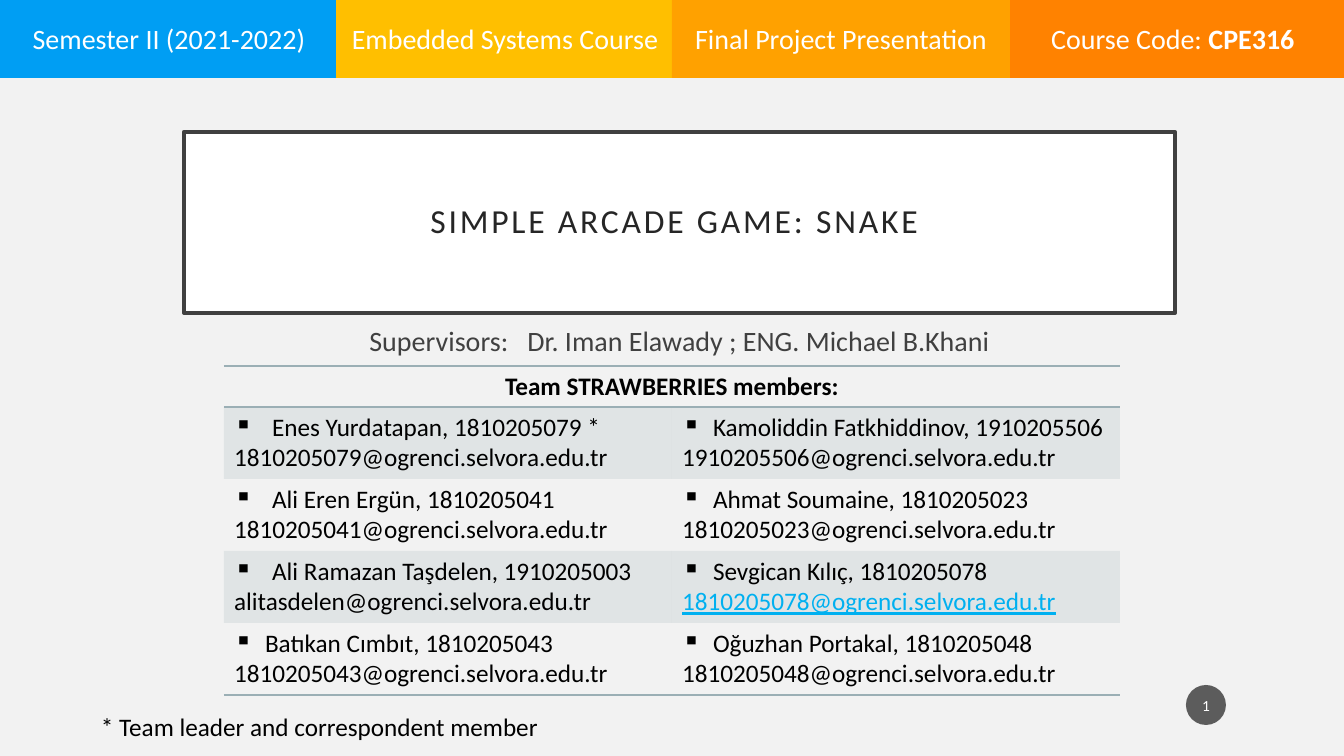
import pptx
import pptx.util
import pptx.dml.color
import pptx.enum.shapes
import pptx.enum.text
import pptx.oxml.ns
import lxml.etree

SCALE = 914400 / 100.8  # EMU in one px
WIDTH, HEIGHT = 1344, 756
COLORS = {
    "background": "F2F2F2", "white": "FFFFFF", "black": "000000",
    "frame": "404040", "title": "262626", "rule": "9BAFB5",
    "address": "00B0F0", "badge": "1D1D1D",
    "blue": "009EF3", "yellow": "FFBF00", "amber": "FFA100", "orange": "FF8200",
}
COLORS = {name: pptx.dml.color.RGBColor.from_string(value) for name, value in COLORS.items()}
ALIGN = pptx.enum.text.PP_ALIGN
MIDDLE = pptx.enum.text.MSO_ANCHOR.MIDDLE
AUTO_SIZE = pptx.enum.text.MSO_AUTO_SIZE
SHAPES = pptx.enum.shapes.MSO_SHAPE
qn = pptx.oxml.ns.qn


def px(*lengths):
    return [round(length * SCALE) for length in lengths]


def add_run(paragraph, text, size, color="black", spacing=0, **font_format):
    run = paragraph.add_run()
    run.text = text
    font_format.update(name="Calibri", size=pptx.util.Pt(size))
    for name, value in font_format.items():
        setattr(run.font, name, value)
    run.font.color.rgb = COLORS[color]
    if spacing:
        run.font._element.set("spc", str(spacing))


presentation = pptx.Presentation()
presentation.slide_width, presentation.slide_height = px(WIDTH, HEIGHT)
slide = presentation.slides.add_slide(presentation.slide_layouts[5])
slide.background.fill.solid()
slide.background.fill.fore_color.rgb = COLORS["background"]

# Framed title
title = slide.shapes.title
title.left, title.top, title.width, title.height = px(184, 132, 991, 181)
title.fill.solid()
title.fill.fore_color.rgb = COLORS["white"]
title.line.color.rgb = COLORS["frame"]
title.line.width = pptx.util.Pt(3)
side, edge = px(30, 20)
title_format = {
    "margin_left": side, "margin_right": side, "margin_top": edge, "margin_bottom": edge,
    "vertical_anchor": MIDDLE, "word_wrap": True, "auto_size": AUTO_SIZE.NONE,
}
for name, value in title_format.items():
    setattr(title.text_frame, name, value)
paragraph = title.text_frame.paragraphs[0]
paragraph.alignment = ALIGN.CENTER
paragraph.line_spacing = 0.9
add_run(paragraph, "SIMPLE ARCADE GAME: SNAKE ", 24, "title", spacing=200)

# Header bands and page number badge: shape, place, fill, side margin, text size, runs
BAND_STEP, BAND_WIDTH = 336, 338
bands = [
    (0, "blue", [("Semester II (2021-2022)", False)]),
    (3, "orange", [("Course Code: ", False), ("CPE316 ", True)]),
    (1, "yellow", [("Embedded Systems Course", False)]),
    (2, "amber", [("Final Project Presentation", False)]),
]
blocks = []
for position, color, runs in bands:
    left = position * BAND_STEP
    place = (left, -1, min(BAND_WIDTH, WIDTH - left), 79)
    blocks.append((SHAPES.RECTANGLE, place, color, 0, 20, runs))
blocks.append((SHAPES.OVAL, (1186, 685, 40, 40), "badge", 2, 11, [("1", False)]))

for kind, place, color, margin, size, runs in blocks:
    shape = slide.shapes.add_shape(kind, *px(*place))
    shape.shadow.inherit = False
    shape.fill.solid()
    shape.fill.fore_color.rgb = COLORS[color]
    shape.line.fill.background()
    side = px(margin)[0]
    block_format = {
        "margin_left": side, "margin_right": side, "margin_top": 0, "margin_bottom": 0,
        "vertical_anchor": MIDDLE, "word_wrap": True,
    }
    for name, value in block_format.items():
        setattr(shape.text_frame, name, value)
    paragraph = shape.text_frame.paragraphs[0]
    paragraph.alignment = ALIGN.CENTER
    for text, bold in runs:
        add_run(paragraph, text, size, "white", bold=bold)
    if color == "badge":
        solid_fill = shape.element.spPr.find(qn("a:solidFill"))
        lxml.etree.SubElement(solid_fill[0], qn("a:alpha"), val="70000")

# Team table
HEADER_HEIGHT, ROW_HEIGHT, COLUMN_WIDTH = 41, 72, 448
DOMAIN = "@ogrenci.selvora.edu.tr"
members = [
    [("Enes Yurdatapan, 1810205079 *", "1810205079"),
     ("Kamoliddin Fatkhiddinov, 1910205506", "1910205506")],
    [("Ali Eren Ergün, 1810205041", "1810205041"),
     ("Ahmat Soumaine, 1810205023", "1810205023")],
    [("Ali Ramazan Taşdelen, 1910205003", "alitasdelen"),
     ("Sevgican Kılıç, 1810205078", "1810205078")],
    [("Batıkan Cımbıt, 1810205043", "1810205043"),
     ("Oğuzhan Portakal, 1810205048", "1810205048")],
]
last_row = len(members)
table_frame = slide.shapes.add_table(
    last_row + 1, 2,
    *px(224, 366, 2 * COLUMN_WIDTH, HEADER_HEIGHT + last_row * ROW_HEIGHT))
table = table_frame.table
table.first_row = table.horz_banding = False
NO_STYLE = "{2D5ABB26-0587-4C30-8999-92F81FD0307C}"
table_frame.element.find(".//" + qn("a:tableStyleId")).text = NO_STYLE
for column in table.columns:
    column.width = px(COLUMN_WIDTH)[0]

for row_index, row in enumerate(table.rows):
    row.height = px(ROW_HEIGHT if row_index else HEADER_HEIGHT)[0]
    borders = {0: ["a:lnT", "a:lnB"], last_row: ["a:lnB"]}.get(row_index, [])
    for column_index, cell in enumerate(row.cells):
        properties = cell._tc.get_or_add_tcPr()
        for tag in borders:
            border = lxml.etree.SubElement(properties, qn(tag), w="12700")
            solid_fill = lxml.etree.SubElement(border, qn("a:solidFill"))
            lxml.etree.SubElement(solid_fill, qn("a:srgbClr"), val=str(COLORS["rule"]))
        if row_index % 2:
            cell.fill.solid()
            cell.fill.fore_color.rgb = COLORS["rule"]
            color_element = properties.find(qn("a:solidFill"))[0]
            lxml.etree.SubElement(color_element, qn("a:alpha"), val="20000")
        else:
            cell.fill.background()
        if row_index == 0:
            continue

        # Bulleted name, then address
        member, account = members[row_index - 1][column_index]
        justified = column_index == 0 and row_index < last_row
        paragraph = cell.text_frame.paragraphs[0]
        paragraph.alignment = ALIGN.JUSTIFY if justified else ALIGN.LEFT
        indent = px(38 if justified else 31)[0]
        paragraph_properties = paragraph._p.get_or_add_pPr()
        paragraph_properties.set("marL", str(indent))
        paragraph_properties.set("indent", str(-indent))
        lxml.etree.SubElement(paragraph_properties, qn("a:buChar"), char="▪")
        add_run(paragraph, member, 18)
        linked = account == "1810205078"
        add_run(cell.text_frame.add_paragraph(), account + DOMAIN, 18,
                "address" if linked else "black", underline=linked)

header = table.cell(0, 0)
header.merge(table.cell(0, 1))
paragraph = header.text_frame.paragraphs[0]
paragraph.alignment = ALIGN.CENTER
add_run(paragraph, "Team STRAWBERRIES members:", 18, bold=True)

# Supervisors
supervisors = slide.shapes.add_textbox(*px(184, 319, 991, 48))
supervisors.text_frame.word_wrap = True
paragraph = supervisors.text_frame.paragraphs[0]
paragraph.alignment = ALIGN.CENTER
paragraph.space_before = pptx.util.Pt(10)
add_run(paragraph, "Supervisors:", 20, "frame")
add_run(paragraph, " ", 20, "frame", spacing=900)
add_run(paragraph, "Dr. Iman Elawady ; ENG. Michael B.Khani", 20, "frame")

# Footnote
footnote = slide.shapes.add_textbox(*px(91, 706, 672, 41))
footnote.text_frame.word_wrap = True
footnote.text_frame.auto_size = AUTO_SIZE.SHAPE_TO_FIT_TEXT
add_run(footnote.text_frame.paragraphs[0], "* Team leader and correspondent member", 18)

presentation.save("out.pptx")
